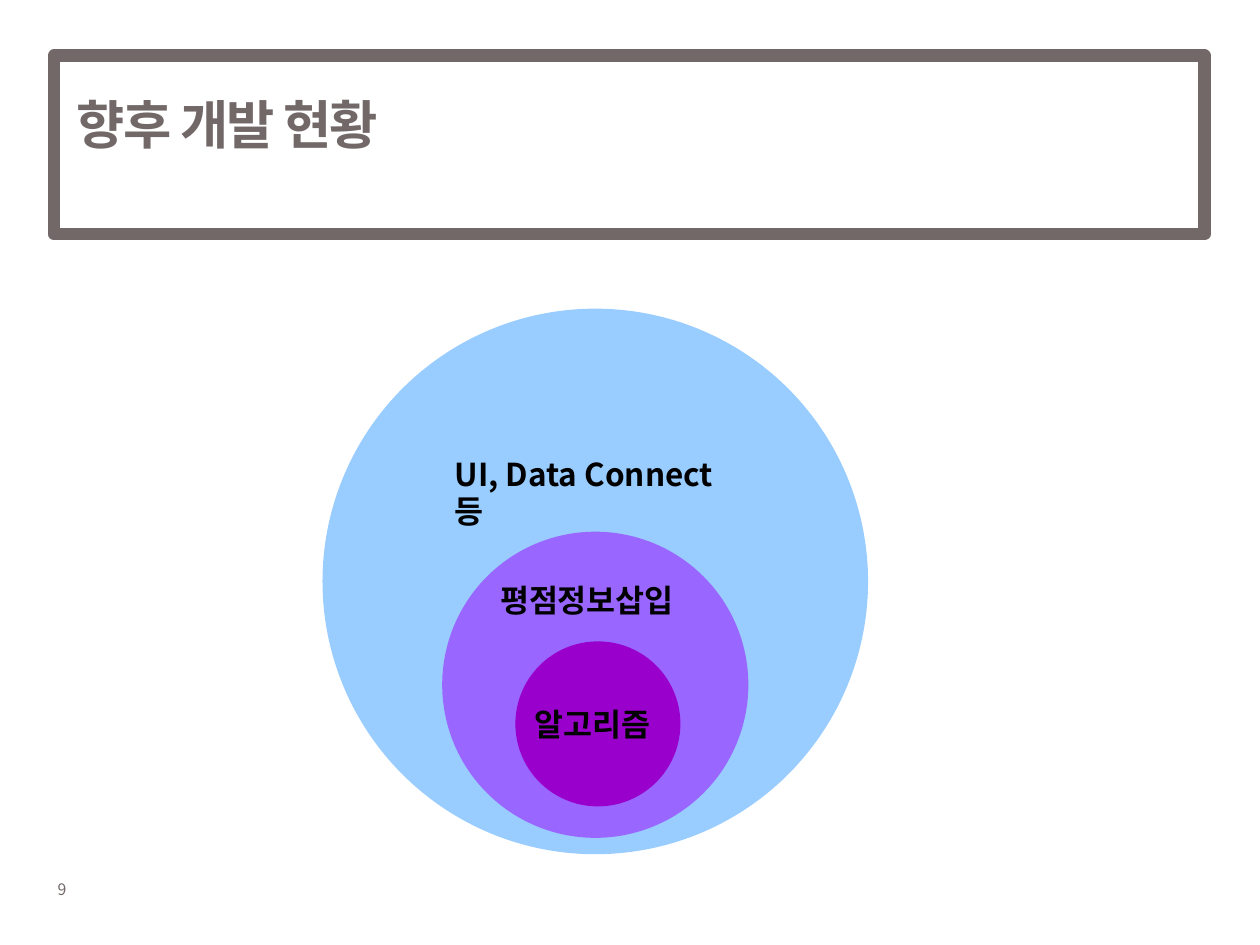
from pptx import Presentation
from pptx.dml.color import RGBColor
from pptx.enum.shapes import MSO_SHAPE as Preset
from pptx.enum.text import MSO_ANCHOR as Anchor, PP_ALIGN as Align
from pptx.util import Inches, Pt

FONT = "Noto Sans CJK KR"
GRAY = RGBColor(0x72, 0x68, 0x68)
BLACK = RGBColor(0, 0, 0)
SKY = RGBColor(0x99, 0xCC, 0xFF)
VIOLET = RGBColor(0x99, 0x66, 0xFF)
PURPLE = RGBColor(0x99, 0x00, 0xCC)


def write_text(shape, text, size, color, bold=False):
    frame = shape.text_frame
    frame.word_wrap = True
    frame.vertical_anchor = Anchor.TOP
    paragraph = frame.paragraphs[0]
    paragraph.alignment = Align.LEFT
    run = paragraph.add_run()
    run.text = text
    run.font.name = FONT
    run.font.size = Pt(size)
    run.font.bold = bold
    run.font.color.rgb = color
    # Korean glyphs take the East Asian typeface
    properties = run._r.get_or_add_rPr()
    east_asian = properties.makeelement(
        "{http://schemas.openxmlformats.org/drawingml/2006/main}ea", {"typeface": FONT})
    properties.find("{*}latin").addnext(east_asian)
    return run


presentation = Presentation()
presentation.slide_width = Inches(10)
presentation.slide_height = Inches(7.5)
slide = presentation.slides.add_slide(presentation.slide_layouts[5])

# Title
title = slide.shapes.title
title.left, title.top = Inches(0.51), Inches(0.68)
title.width, title.height = Inches(7.17), Inches(0.94)
title_run = write_text(title, "향후 개발 현황", 30, GRAY, bold=True)
title_run._r.get_or_add_rPr().set("spc", "-100")

# Title frame
frame_box = slide.shapes.add_shape(
    Preset.RECTANGLE, Inches(0.43), Inches(0.44), Inches(9.13), Inches(1.42))
frame_box.shadow.inherit = False
frame_box.fill.background()
frame_box.line.color.rgb = GRAY
frame_box.line.width = Pt(7)

# Nested circles: left, top, diameter, fill, then label with left, top, width
layers = [
    (2.56, 2.45, 4.33, SKY, "UI, Data Connect 등", 3.51, 3.56, 2.4),
    (3.51, 4.22, 2.43, VIOLET, "평점정보삽입", 3.87, 4.56, 1.72),
    (4.09, 5.09, 1.31, PURPLE, "알고리즘", 4.14, 5.55, 1.21),
]
for left, top, diameter, fill, text, text_left, text_top, text_width in layers:
    circle = slide.shapes.add_shape(
        Preset.OVAL, Inches(left), Inches(top), Inches(diameter), Inches(diameter))
    circle.shadow.inherit = False
    circle.fill.solid()
    circle.fill.fore_color.rgb = fill
    circle.line.fill.background()
    label = slide.shapes.add_textbox(
        Inches(text_left), Inches(text_top), Inches(text_width), Inches(0.4))
    write_text(label, text, 18, BLACK, bold=True)

# Slide number
number = slide.shapes.add_textbox(Inches(0.36), Inches(6.93), Inches(0.52), Inches(0.25))
write_text(number, "9", 9, GRAY)

presentation.save("out.pptx")
